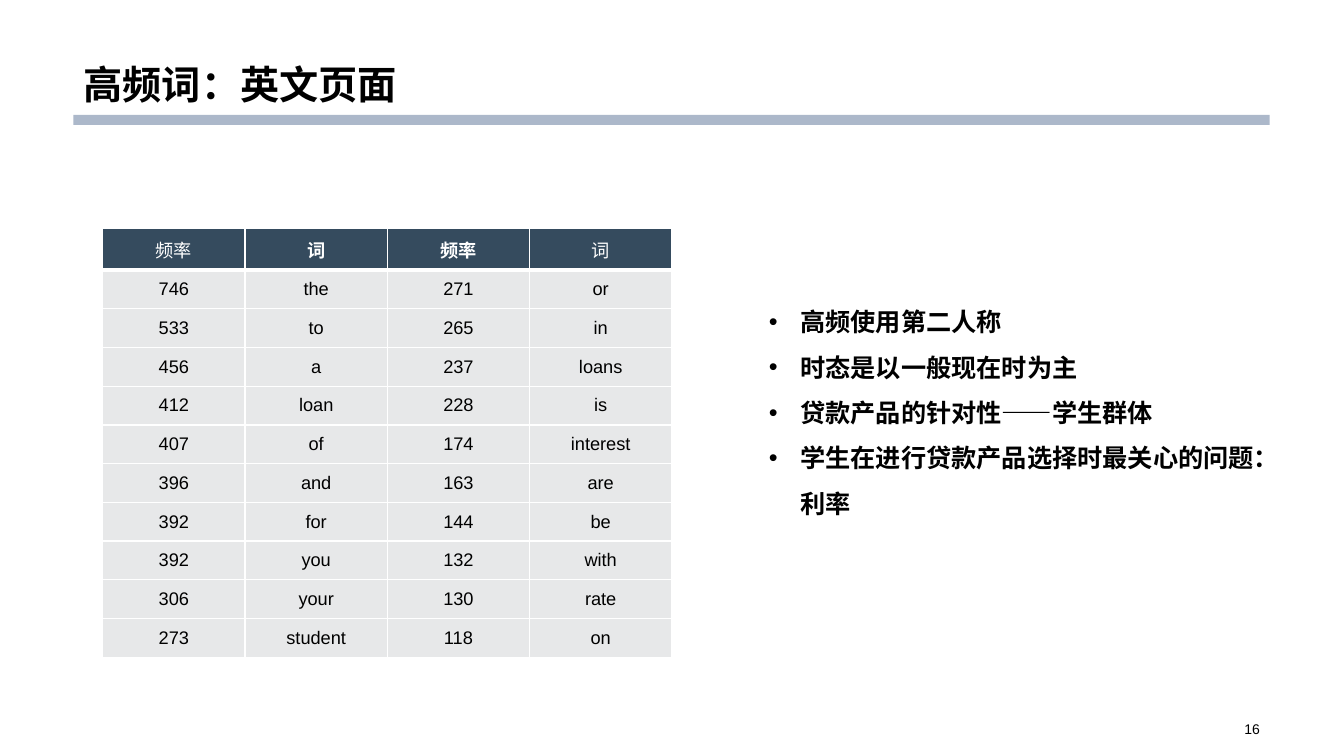
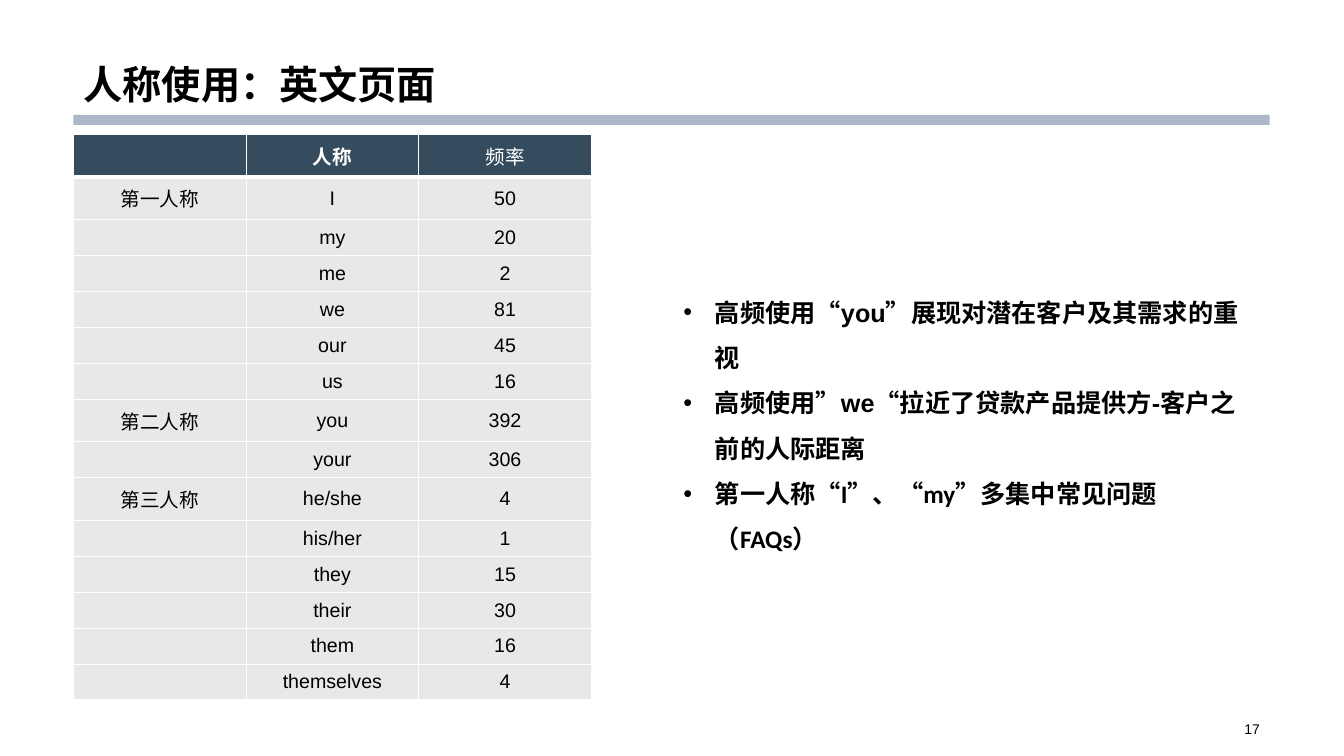
from pptx import Presentation
from pptx.dml.color import RGBColor
from pptx.enum.shapes import MSO_SHAPE
from pptx.enum.text import MSO_ANCHOR, MSO_AUTO_SIZE, PP_ALIGN
from pptx.oxml.ns import qn
from pptx.util import Pt
from lxml import etree

RECTANGLE = MSO_SHAPE.RECTANGLE
MIDDLE, BOTTOM, TOP = MSO_ANCHOR.MIDDLE, MSO_ANCHOR.BOTTOM, MSO_ANCHOR.TOP
LEFT, CENTER, RIGHT = PP_ALIGN.LEFT, PP_ALIGN.CENTER, PP_ALIGN.RIGHT
NO_AUTOFIT = MSO_AUTO_SIZE.NONE

COLORS = {
    "text": "000000",
    "band": "ACB8CA",
    "header": "354B5E",
    "cell": "E7E8E9",
    "white": "FFFFFF",
}
FONT, ALTERNATE_FONT = "Arial", "Calibri"

# Boxes are left, top, width, height in points.
TITLE_BOX = (52.5, 0, 854.5, 80.6)
BAND_BOX = (52.5, 82, 854.5, 7.2)
NUMBER_BOX = (678, 512.6, 229, 16.6)
BULLET_INDENT = 22.5

WORD_ROWS = [
    ("频率", "词", "频率", "词"),
    ("746", "the", "271", "or"),
    ("533", "to", "265", "in"),
    ("456", "a", "237", "loans"),
    ("412", "loan", "228", "is"),
    ("407", "of", "174", "interest"),
    ("396", "and", "163", "are"),
    ("392", "for", "144", "be"),
    ("392", "you", "132", "with"),
    ("306", "your", "130", "rate"),
    ("273", "student", "118", "on"),
]
WORD_POINTS = [
    "高频使用第二人称",
    "时态是以一般现在时为主",
    "贷款产品的针对性——学生群体",
    "学生在进行贷款产品选择时最关心的问题：利率",
]

PERSON_ROWS = [
    ("", "人称", "频率"),
    ("第一人称", "I", "50"),
    ("", "my", "20"),
    ("", "me", "2"),
    ("", "we", "81"),
    ("", "our", "45"),
    ("", "us", "16"),
    ("第二人称", "you", "392"),
    ("", "your", "306"),
    ("第三人称", "he/she", "4"),
    ("", "his/her", "1"),
    ("", "they", "15"),
    ("", "their", "30"),
    ("", "them", "16"),
    ("", "themselves", "4"),
]
PERSON_POINTS = [
    "高频使用“you”展现对潜在客户及其需求的重视",
    "高频使用”we“拉近了贷款产品提供方-客户之前的人际距离",
    [
        ("第一人称", FONT),
        ("“I”", ALTERNATE_FONT),
        ("、", FONT),
        ("“my”", ALTERNATE_FONT),
        ("多集中常见问题（", FONT),
        ("FAQs", ALTERNATE_FONT),
        ("）", FONT),
    ],
]


def color(name):
    return RGBColor.from_string(COLORS[name])


def points(box):
    return [Pt(length) for length in box]


def place(shape, box):
    shape.left, shape.top, shape.width, shape.height = points(box)


def style(para, size, bold=False, ink="text", align=LEFT):
    para.alignment = align
    font = para.font
    font.name, font.size, font.bold = FONT, Pt(size), bold
    font.color.rgb = color(ink)


def set_frame(frame, anchor, vertical_inset=3.6):
    frame.word_wrap = True
    frame.auto_size = NO_AUTOFIT
    frame.vertical_anchor = anchor
    frame.margin_left = frame.margin_right = Pt(7.2)
    frame.margin_top = frame.margin_bottom = Pt(vertical_inset)


def add_bullet(para):
    properties = para._p.get_or_add_pPr()
    properties.set("marL", str(Pt(BULLET_INDENT)))
    properties.set("indent", str(-Pt(BULLET_INDENT)))
    bullet_color = etree.SubElement(properties, qn("a:buClr"))
    etree.SubElement(bullet_color, qn("a:srgbClr"), val=COLORS["text"])
    etree.SubElement(properties, qn("a:buFont"), typeface=FONT)
    etree.SubElement(properties, qn("a:buChar"), char="•")


def add_border(cell, side, width):
    """Draw a white line on one side (L, R, T or B); call before filling."""
    properties = cell._tc.get_or_add_tcPr()
    line = etree.SubElement(properties, qn(f"a:ln{side}"), w=str(Pt(width)))
    fill = etree.SubElement(line, qn("a:solidFill"))
    etree.SubElement(fill, qn("a:srgbClr"), val=COLORS["white"])


def fill_list(body, box, items):
    place(body, box)
    frame = body.text_frame
    set_frame(frame, TOP, 7.2)
    for index, item in enumerate(items):
        para = frame.add_paragraph() if index else frame.paragraphs[0]
        add_bullet(para)
        para.line_spacing = 1.5
        para.space_before = Pt(0)
        style(para, 18, bold=True)
        if isinstance(item, str):
            para.add_run().text = item
            continue
        for text, font_name in item:
            span = para.add_run()
            span.text = text
            span.font.name = font_name


def fill_cell(cell, text, size, inset, row_index, bold):
    is_header = row_index == 0
    thick_side = {0: "B", 1: "T"}.get(row_index)
    for side in "LRTB":
        add_border(cell, side, 3 if side == thick_side else 1)
    cell.fill.solid()
    cell.fill.fore_color.rgb = color("header" if is_header else "cell")
    cell.vertical_anchor = MIDDLE
    cell.margin_left = cell.margin_right = Pt(inset)
    # Empty cells need no inset, so they never stretch their row.
    cell.margin_top = cell.margin_bottom = Pt(inset if text else 0)
    if text:
        cell.text = text
        style(cell.text_frame.paragraphs[0], size, bold,
              "white" if is_header else "text", CENTER)


def add_frequency_table(page, box, rows, heights, size, inset, bold_headers):
    frame = page.shapes.add_table(len(rows), len(rows[0]), *points(box))
    table = frame.table
    table.horz_banding = False
    for column in table.columns:
        column.width = Pt(box[2] / len(rows[0]))
    for row_index, values in enumerate(rows):
        table.rows[row_index].height = Pt(heights[row_index])
        for column_index, text in enumerate(values):
            bold = row_index == 0 and column_index in bold_headers
            fill_cell(table.cell(row_index, column_index), text,
                      size, inset, row_index, bold)


def add_page(deck, title, number):
    """Add a slide with its title, band and page number."""
    page = deck.slides.add_slide(deck.slide_layouts[1])
    band = page.shapes.add_shape(RECTANGLE, *points(BAND_BOX))
    band.shadow.inherit = False
    band.fill.solid()
    band.fill.fore_color.rgb = color("band")
    band.line.fill.background()

    heading = page.shapes.title
    place(heading, TITLE_BOX)
    set_frame(heading.text_frame, BOTTOM)
    heading.text_frame.text = title
    para = heading.text_frame.paragraphs[0]
    para.line_spacing = 0.9
    style(para, 28, bold=True)

    number_frame = page.shapes.add_textbox(*points(NUMBER_BOX)).text_frame
    set_frame(number_frame, MIDDLE)
    number_frame.text = str(number)
    style(number_frame.paragraphs[0], 10, align=RIGHT)
    return page


def add_word_page(deck):
    page = add_page(deck, "高频词：英文页面", 16)
    heights = [30] + [27.65] * (len(WORD_ROWS) - 1)
    add_frequency_table(page, (73.4, 163, 406.6, sum(heights)), WORD_ROWS,
                        heights, 13, 5.6, bold_headers=(1, 2))
    fill_list(page.placeholders[1], (542, 201, 365, 192), WORD_POINTS)


def add_person_page(deck):
    page = add_page(deck, "人称使用：英文页面", 17)
    heights = [30.4 if row[0] or index == 0 else 25.7
               for index, row in enumerate(PERSON_ROWS)]
    add_frequency_table(page, (52.5, 96, 370, sum(heights)), PERSON_ROWS,
                        heights, 14, 4.8, bold_headers=(1,))
    fill_list(page.placeholders[1], (481, 194, 422.5, 152), PERSON_POINTS)


def main():
    deck = Presentation()
    deck.slide_width, deck.slide_height = Pt(960), Pt(540)
    add_word_page(deck)
    add_person_page(deck)
    deck.save("out.pptx")


if __name__ == "__main__":
    main()
